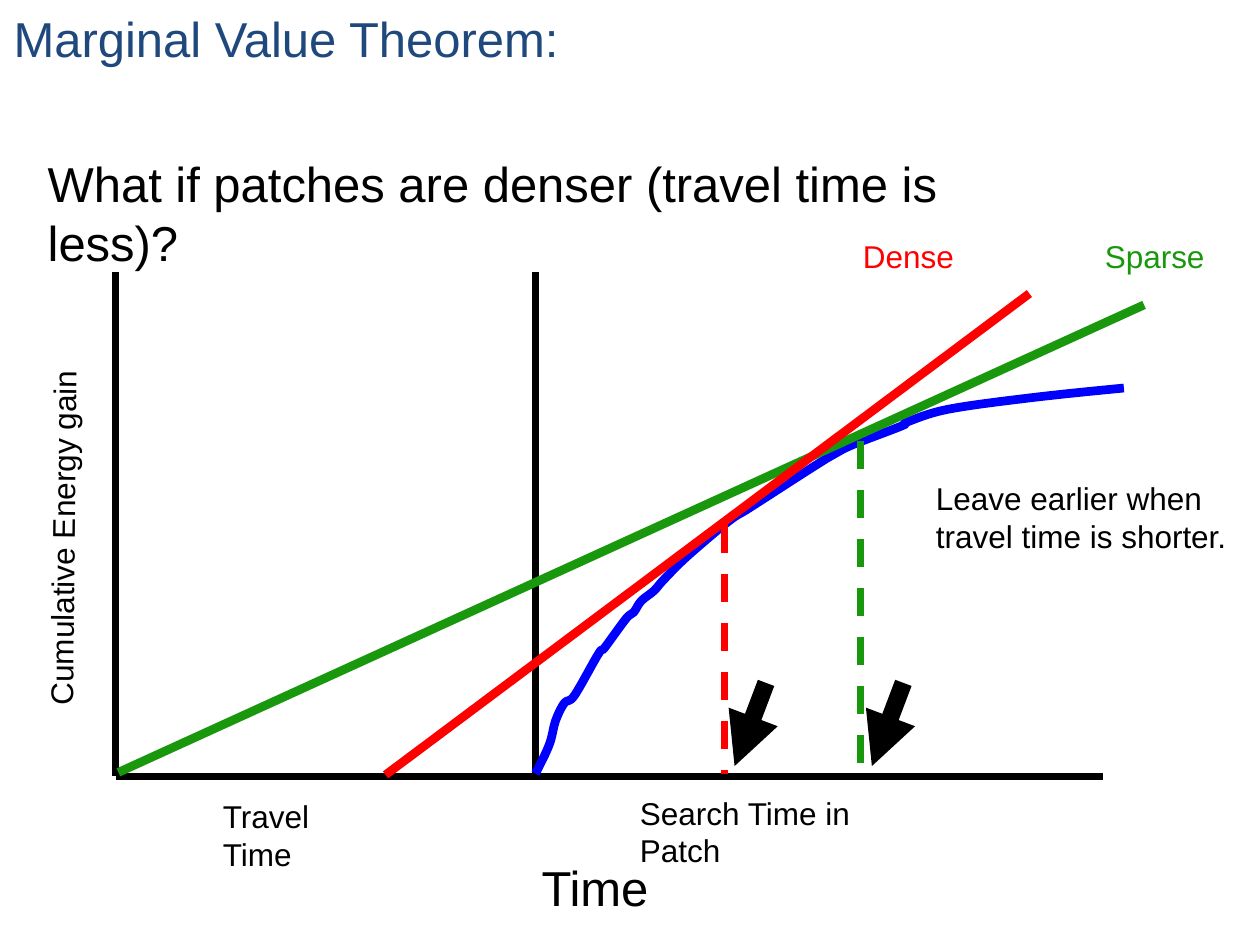
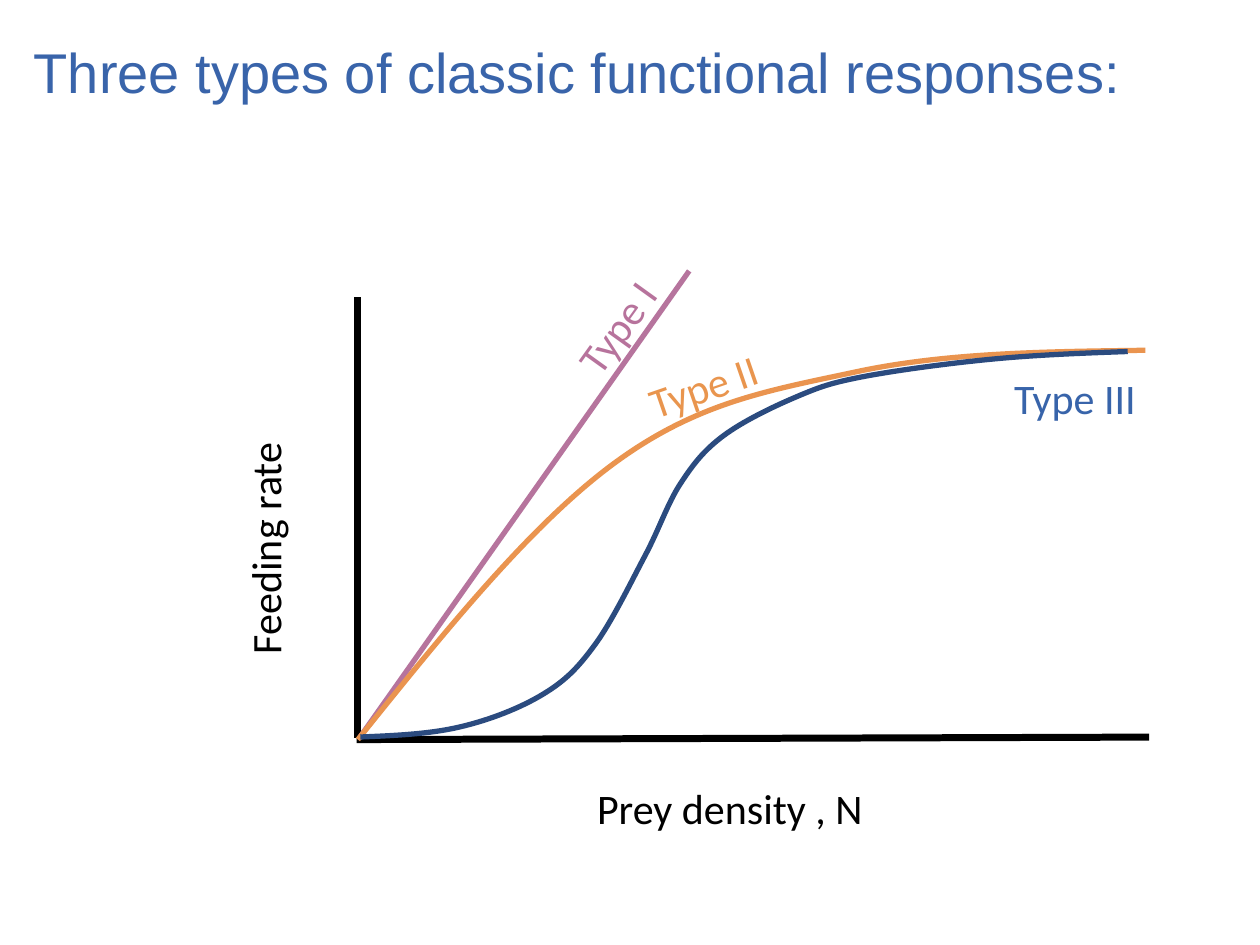
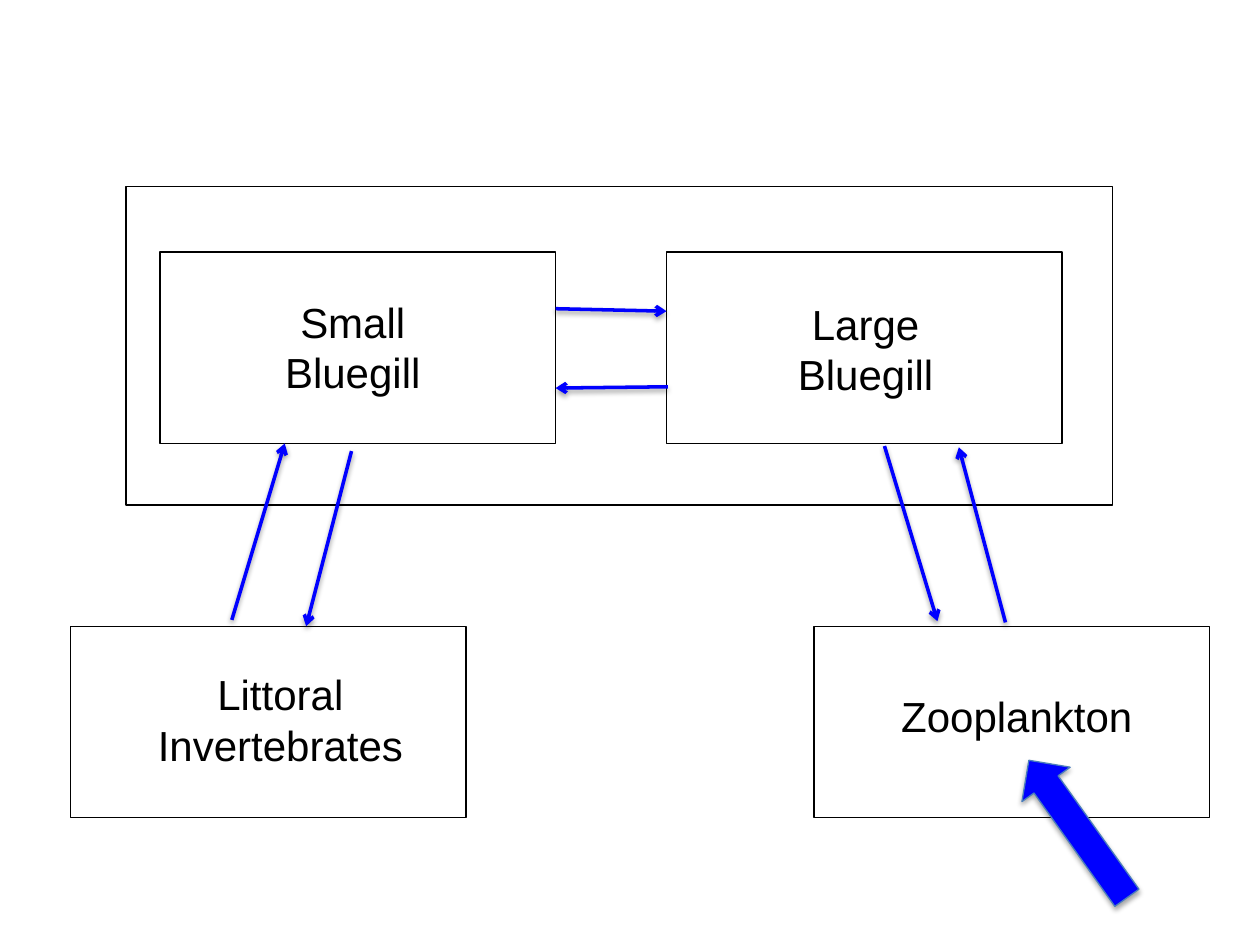
from pptx import Presentation
from pptx.dml.color import RGBColor
from pptx.enum.dml import MSO_LINE_DASH_STYLE as Dash
from pptx.enum.shapes import MSO_CONNECTOR as Connector, MSO_SHAPE as Preset
from pptx.enum.text import MSO_AUTO_SIZE as AutoSize, PP_ALIGN as Align
from pptx.oxml.ns import qn
from pptx.util import Inches, Pt
from lxml.etree import SubElement

# The slide is a grid of 10 columns by 7.5 rows, each cell one inch square.
COLUMNS, ROWS = 10, 7.5
CELL = Inches(1)
COLORS = {
    "ink": "000000", "title": "1F497D", "title_light": "3964AA",
    "gain": "0000FF", "dense": "FF0000", "sparse": "1A980D",
    "type1": "B6749D", "type1_label": "B7739C",
    "type2": "EA944F", "type2_label": "E9954E",
    "type3": "2B4B7F", "type3_label": "3864AA",
    "flow": "0000FF", "flow_edge": "4B7EBC",
}
AXIS, CURVE, TANGENT = 4, 3, 5
BOX_COLS, BOX_ROWS = 3.14, 1.52


def grid(*cells):
    return [round(cell * CELL) for cell in cells]


def color(name):
    return RGBColor.from_string(COLORS[name])


def style_line(line, name, width):
    line.color.rgb = color(name)
    line.width = Pt(width)


def add_shadow(effects, opacity, distance):
    """Put a soft downward shadow into an effect list."""
    shadow = SubElement(effects, qn("a:outerShdw"), blurRad=str(Pt(3.1)),
                        dist=str(Pt(distance)), dir="5400000", rotWithShape="0")
    ink = SubElement(shadow, qn("a:srgbClr"), val=COLORS["ink"])
    SubElement(ink, qn("a:alpha"), val=str(opacity * 1000))


def add_label(slide, text, place, size, name="ink", font="Arial",
              rotation=0, align=Align.LEFT, spacing=None):
    label = slide.shapes.add_textbox(*grid(*place))
    label.rotation = rotation
    frame = label.text_frame
    frame.text = text
    frame.word_wrap = True
    frame.auto_size = AutoSize.SHAPE_TO_FIT_TEXT
    paragraph = frame.paragraphs[0]
    paragraph.alignment = align
    paragraph.line_spacing = spacing
    run_font = paragraph.runs[0].font
    run_font.name, run_font.size = font, Pt(size)
    run_font.color.rgb = color(name)


def add_line(slide, start, end, name="ink", width=AXIS, dashed=False,
             arrow=None, shadow=False):
    """Draw a straight line; arrow names the arrowhead at its end."""
    connector = slide.shapes.add_connector(Connector.STRAIGHT, *grid(*start, *end))
    style_line(connector.line, name, width)
    if dashed:
        connector.line.dash_style = Dash.DASH
    properties = connector._element.spPr
    if arrow:
        SubElement(properties.find(qn("a:ln")), qn("a:tailEnd"), type=arrow)
    effects = SubElement(properties, qn("a:effectLst"))
    if shadow:
        add_shadow(effects, 38, 1.6)


def bezier_points(knots):
    """Return the control and end points of a Catmull-Rom spline through knots."""
    slopes = [tuple((b - a) / 6 for a, b in zip(before, after))
              for before, after in zip(knots, knots[2:])]
    leaving = [tuple(k + s for k, s in zip(*pair)) for pair in zip(knots[1:], slopes)]
    arriving = [tuple(k - s for k, s in zip(*pair)) for pair in zip(knots[1:], slopes)]

    def midpoint(p, q):
        return tuple((a + b) / 2 for a, b in zip(p, q))

    leaving.insert(0, midpoint(knots[0], arriving[0]))
    arriving.append(midpoint(knots[-1], leaving[-1]))
    return [point for segment in zip(leaving, arriving, knots[1:]) for point in segment]


def add_curve(slide, knots, name, width):
    builder = slide.shapes.build_freeform(*grid(*knots[0]))
    builder.add_line_segments([grid(*p) for p in bezier_points(knots)], close=False)
    curve = builder.convert_to_shape()
    curve.shadow.inherit = False
    curve.fill.background()
    style_line(curve.line, name, width)
    outline = next(curve._element.iter(qn("a:path")))
    steps = outline.findall(qn("a:lnTo"))
    for first in range(0, len(steps), 3):
        bezier = SubElement(outline, qn("a:cubicBezTo"))
        for step in steps[first:first + 3]:
            bezier.append(step[0])
            outline.remove(step)


def add_box(slide, left, top, cols=BOX_COLS, rows=BOX_ROWS):
    box = slide.shapes.add_shape(Preset.RECTANGLE, *grid(left, top, cols, rows))
    box.shadow.inherit = False
    box.fill.background()
    style_line(box.line, "ink", 0.75)


def marginal_value_slide(slide):
    base, origin, patch = 6.16, 0.92, 4.25
    add_line(slide, (origin, base), (8.75, base))
    add_label(slide, "Time", (4.2, 6.76, 1.1, 0.57), 28)
    add_line(slide, (patch, 2.16), (patch, base))
    add_label(slide, "Travel Time", (1.67, 6.28, 1.49, 0.4), 18)
    add_label(slide, "Search Time in Patch", (4.98, 6.25, 2.55, 0.4), 18)
    energy_gain = [
        (4.25, 6.14), (4.36, 5.91), (4.41, 5.72), (4.48, 5.58), (4.56, 5.52),
        (4.75, 5.19), (4.8, 5.14), (4.97, 4.91), (5.03, 4.86), (5.09, 4.77),
        (5.19, 4.69), (5.27, 4.6), (5.45, 4.42), (5.78, 4.14), (5.92, 4.05),
        (6.06, 3.96), (6.48, 3.69), (6.63, 3.6), (6.77, 3.53), (7.16, 3.38),
        (7.2, 3.35), (7.52, 3.25), (8.16, 3.16), (8.92, 3.08)]
    add_curve(slide, energy_gain, "gain", TANGENT)
    add_line(slide, (origin, base), (origin, 2.16))
    add_label(slide, "Cumulative Energy gain", (-0.95, 4.05, 2.89, 0.4), 18,
              rotation=270.6)
    add_label(slide, "What if patches are denser (travel time is less)?",
              (0.28, 1.17, 8.36, 0.57), 28)
    add_label(slide, "Marginal Value Theorem:", (0.01, 0.02, 4.73, 0.57), 28, "title")
    for name, leave, gain in (("sparse", 6.83, 3.5), ("dense", 5.75, 4.17)):
        add_line(slide, (leave, gain), (leave, 6.14), name, dashed=True)
    for tip in (5.83, 6.92):
        add_line(slide, (tip + 0.25, 5.42), (tip, 6.08), width=10, arrow="triangle")
    add_line(slide, (0.94, 6.13), (9.08, 2.42), "sparse", TANGENT)
    add_line(slide, (3.06, 6.15), (8.17, 2.33), "dense", TANGENT)
    add_label(slide, "Leave earlier when travel time is shorter.",
              (7.33, 3.75, 2.67, 0.71), 18)
    add_label(slide, "Sparse", (8.67, 1.83, 1.5, 0.4), 18, "sparse")
    add_label(slide, "Dense", (6.75, 1.83, 1.5, 0.4), 18, "dense")


def functional_response_slide(slide):
    add_line(slide, (2.84, 2.36), (2.84, 5.86))
    add_line(slide, (2.83, 5.87), (9.12, 5.85))
    for text, place, rotation in (
            ("Prey density , N", (4.64, 6.1, 2.33, 0.54), 0),
            ("Feeding rate", (1.11, 4.07, 1.9, 0.54), 270)):
        add_label(slide, text, place, 24, font="Calibri", rotation=rotation, spacing=1.15)
    add_line(slide, (2.85, 5.86), (5.47, 2.15), "type1", CURVE)
    saturating = [(2.84, 5.87), (4.87, 3.68), (6.8, 2.95), (9.09, 2.78)]
    sigmoid = [(2.86, 5.85), (3.65, 5.77), (4.31, 5.51), (4.72, 5.12), (5.12, 4.41),
               (5.4, 3.84), (5.74, 3.46), (6.32, 3.15), (6.85, 2.99), (7.88, 2.85),
               (8.95, 2.79)]
    add_curve(slide, saturating, "type2", CURVE)
    add_label(slide, "Three types of classic functional responses:",
              (0.17, 0.25, 9.58, 0.64), 32, "title_light")
    add_curve(slide, sigmoid, "type3", CURVE)
    for text, place, name, rotation in (
            ("Type I", (4.39, 2.34, 1.01, 0.5), "type1_label", 305.6),
            ("Type II", (5.04, 2.81, 1.09, 0.5), "type2_label", 341),
            ("Type III", (7.95, 2.91, 1.18, 0.5), "type3_label", 0)):
        add_label(slide, text, place, 24, name, "Calibri", rotation)


def food_web_slide(slide):
    add_box(slide, 1, 1.48, 7.83, 2.53)
    for text, corner, place in (
            ("Small Bluegill", (1.27, 2), (1.77, 2.3, 2.06, 0.91)),
            ("Large Bluegill", (5.29, 2), (5.84, 2.32, 2.06, 0.91)),
            ("Littoral Invertebrates", (0.56, 4.97), (1.08, 5.26, 2.29, 0.91)),
            ("Zooplankton", (6.46, 4.97), (6.87, 5.43, 2.4, 0.5))):
        add_box(slide, *corner)
        add_label(slide, text, place, 24, align=Align.CENTER)
    for start, end in (
            ((4.41, 2.45), (5.29, 2.47)), ((5.3, 3.07), (4.41, 3.08)),
            ((1.84, 4.92), (2.26, 3.52)), ((2.79, 3.58), (2.43, 4.97)),
            ((7.02, 3.54), (7.44, 4.93)), ((7.98, 4.94), (7.61, 3.55))):
        add_line(slide, start, end, "flow", 2, arrow="arrow", shadow=True)
    inflow = slide.shapes.add_shape(Preset.UP_ARROW, *grid(8.32, 5.91, 0.47, 1.34))
    inflow.rotation = 324.5
    inflow.fill.solid()
    inflow.fill.fore_color.rgb = color("flow")
    style_line(inflow.line, "flow_edge", 0.75)
    inflow.shadow.inherit = False
    add_shadow(inflow._element.spPr.find(qn("a:effectLst")), 35, 1.8)


def main():
    deck = Presentation()
    deck.slide_width, deck.slide_height = grid(COLUMNS, ROWS)
    blank = deck.slide_layouts[6]
    for fill_slide in (marginal_value_slide, functional_response_slide, food_web_slide):
        fill_slide(deck.slides.add_slide(blank))
    deck.save("out.pptx")


if __name__ == "__main__":
    main()
